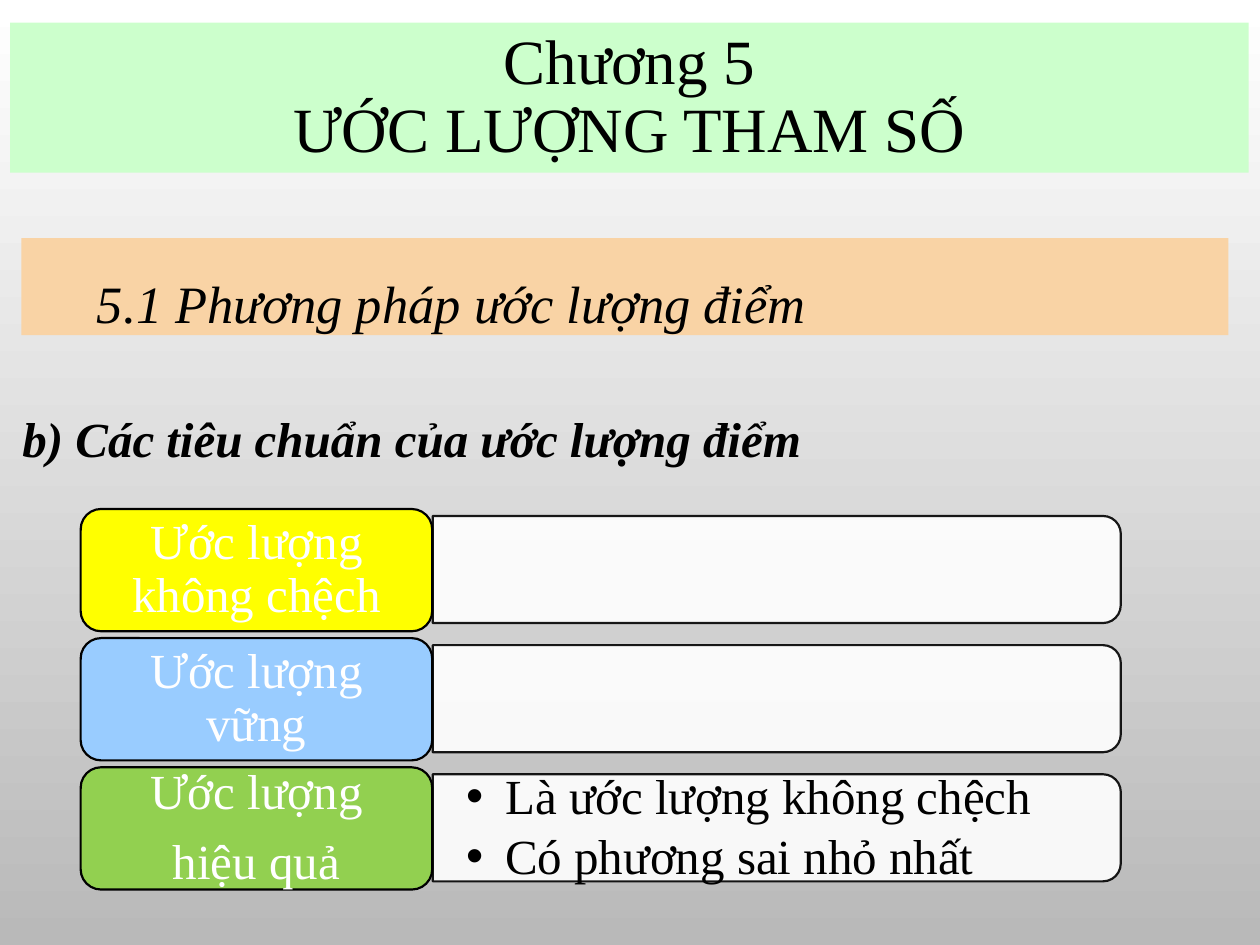
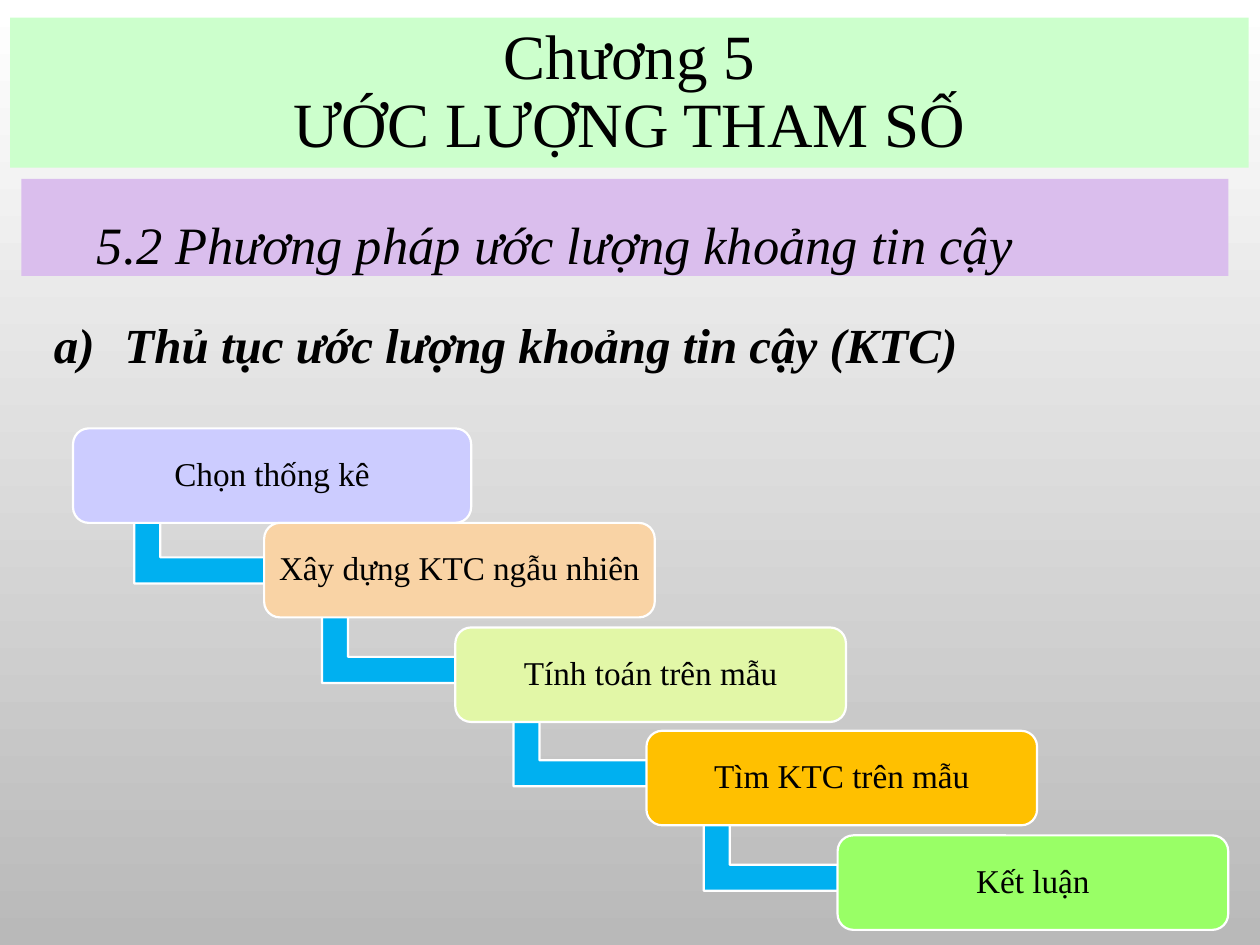
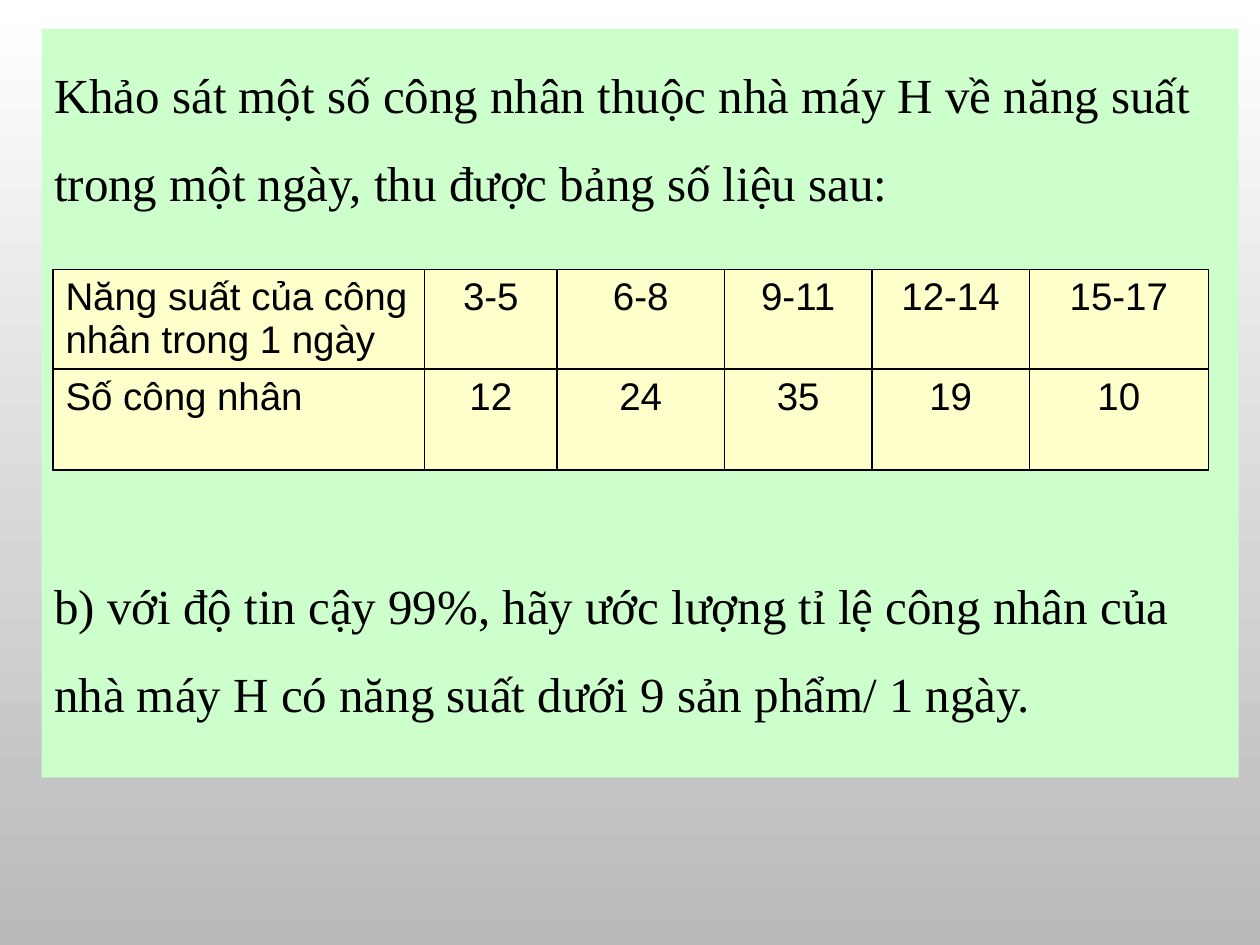
from lxml import etree
from pptx import Presentation
from pptx.dml.color import RGBColor
from pptx.enum.shapes import MSO_SHAPE
from pptx.enum.text import MSO_ANCHOR, MSO_AUTO_SIZE, PP_ALIGN
from pptx.oxml import parse_xml
from pptx.oxml.ns import nsdecls, qn
from pptx.util import Inches, Pt

RECT = MSO_SHAPE.RECTANGLE
ROUND = MSO_SHAPE.ROUNDED_RECTANGLE
TAB = MSO_SHAPE.ROUND_2_SAME_RECTANGLE
BENT = MSO_SHAPE.BENT_UP_ARROW
MID, TOP = MSO_ANCHOR.MIDDLE, MSO_ANCHOR.TOP
GROW, FIXED = MSO_AUTO_SIZE.SHAPE_TO_FIT_TEXT, MSO_AUTO_SIZE.NONE
LEFT, CENTER = PP_ALIGN.LEFT, PP_ALIGN.CENTER
SERIF, SANS = "Times New Roman", "Arial"
UNIT = Inches(1)
HUES = {
    "black": "000000", "white": "FFFFFF", "gray": "B9B9B9", "mint": "CCFFCC",
    "peach": "F9D3A5", "lilac": "DABEED", "yellow": "FFFF00", "sky": "99CCFF",
    "green": "92D050", "blue": "00B0F0", "mauve": "CCCCFF", "lime": "E2F7A7",
    "gold": "FFC000", "grass": "99FF66", "cream": "FFFFCC",
}
RGB = {name: RGBColor.from_string(code) for name, code in HUES.items()}


def draw(slide, kind, at, fill, line=None, turn=0):
    shape = slide.shapes.add_shape(kind, *[int(n * UNIT) for n in at])
    shape.shadow.inherit = False
    shape.rotation = turn
    shape.fill.solid()
    shape.fill.fore_color.rgb = RGB[fill]
    if line:
        shape.line.color.rgb = RGB[line]
        shape.line.width = Pt(1.25)
    else:
        shape.line.fill.background()
    return shape


def write(frame, lines, size, hue="black", align=LEFT, lead=0.9, after=0, pad=(0.1, 0.05),
          fit=FIXED, bold=False, slant=False, indent=(0, 0), mark=None, anchor=MID, font=SERIF):
    frame.text = "\n".join(lines)
    frame.word_wrap = True
    frame.auto_size = fit
    frame.vertical_anchor = anchor
    frame.margin_left = frame.margin_right = Inches(pad[0])
    frame.margin_top = frame.margin_bottom = Inches(pad[1])
    for para in frame.paragraphs:
        props = para._p.get_or_add_pPr()
        props.set("marL", str(Inches(indent[0])))
        props.set("indent", str(Inches(indent[1])))
        if mark == "•":
            etree.SubElement(props, qn("a:buFont")).set("typeface", SANS)
            etree.SubElement(props, qn("a:buChar")).set("char", mark)
        elif mark:
            etree.SubElement(props, qn("a:buFont")).set("typeface", SERIF)
            etree.SubElement(props, qn("a:buAutoNum")).set("type", mark)
        else:
            etree.SubElement(props, qn("a:buNone"))
        para.alignment = align
        para.line_spacing = lead
        para.space_before = Pt(0)
        para.space_after = Pt(after)
        for run in para.runs:
            run.font.name = font
            run.font.size = Pt(size)
            run.font.bold = bold
            run.font.italic = slant
            run.font.color.rgb = RGB[hue]


deck = Presentation()
deck.slide_width, deck.slide_height = 10 * UNIT, int(7.5 * UNIT)
back = deck.slide_master.background.fill
back.gradient()
back.gradient_angle = 270
for stop, hue, spot in zip(back.gradient_stops, ("white", "gray"), (0, 1)):
    stop.color.rgb = RGB[hue]
    stop.position = spot

heads = [
    (0.18, 1.89, "peach", "5.1 Phương pháp ước lượng điểm",
     (0.08, 3, 6.67, 0.72), "b) Các tiêu chuẩn của ước lượng điểm", (0, 0), None),
    (0.14, 1.42, "lilac", "5.2 Phương pháp ước lượng khoảng tin cậy",
     (0.33, 2.25, 8.17, 0.72), "Thủ tục ước lượng khoảng tin cậy (KTC)", (0.56, -0.56), "alphaLcParenR"),
]
pages = []
for top, low, hue, part, at, topic, indent, mark in heads:
    slide = deck.slides.add_slide(deck.slide_layouts[5])
    pages.append(slide)
    title = slide.shapes.title
    title.left, title.top, title.width, title.height = [int(n * UNIT) for n in (0.08, top, 9.83, 1.19)]
    title.fill.solid()
    title.fill.fore_color.rgb = RGB["mint"]
    write(title.text_frame, ["Chương 5\vƯỚC LƯỢNG THAM SỐ"], 36, align=CENTER, fit=GROW)
    band = draw(slide, RECT, (0.17, low, 9.58, 0.77), hue)
    write(band.text_frame, [part], 30, lead=1.5, fit=GROW, slant=True, indent=(0, 0.5))
    note = slide.shapes.add_textbox(*[int(n * UNIT) for n in at])
    write(note.text_frame, [topic], 28, lead=1.5, fit=GROW, bold=True, slant=True,
          indent=indent, mark=mark)

rules, steps = pages
kinds = [
    ("yellow", ["Ước lượng không chệch"]),
    ("sky", ["Ước lượng vững"]),
    ("green", ["Ước lượng", "hiệu quả"]),
]
for row, (hue, lines) in enumerate(kinds):
    top = 4.04 + 1.025 * row
    panel = draw(rules, TAB, (5.74, top - 2.25, 0.85, 5.46), "white", "black", 90)
    for tint in panel._element.spPr.iter(qn("a:srgbClr")):
        etree.SubElement(tint, qn("a:alpha")).set("val", "90000")
    label = draw(rules, ROUND, (0.64, top, 2.79, 0.97), hue, "black")
    write(label.text_frame, lines, 28, "white", CENTER, after=10, pad=(0.12, 0.06))
traits = rules.shapes.add_textbox(*[int(n * UNIT) for n in (3.43, 6.19, 5.42, 0.77)])
write(traits.text_frame, ["Là ước lượng không chệch", "Có phương sai nhỏ nhất"], 28, after=4,
      pad=(0.27, 0.14), indent=(0.31, -0.31), mark="•")

stairs = [
    ("Chọn thống kê", "mauve", 3.4, 3.16, (1.8, 3.32)),
    ("Xây dựng KTC ngẫu nhiên", "peach", 4.15, 3.1, (3.29, 4.11)),
    ("Tính toán trên mẫu", "lime", 4.98, 3.1, (4.81, 4.93)),
    ("Tìm KTC trên mẫu", "gold", 5.8, 3.1, (6.32, 5.76)),
    ("Kết luận", "grass", 6.63, 3.1, None),
]
for col, (text, hue, top, wide, bend) in enumerate(stairs):
    if bend:
        arrow = draw(steps, BENT, (*bend, 0.63, 2.1), "blue", "white", 90)
        for spot, share in enumerate((0.328, 0.25, 0.358)):
            arrow.adjustments[spot] = share
    step = draw(steps, ROUND, (0.58 + 1.517 * col, top, wide, 0.75), hue, "white")
    write(step.text_frame, [text], 19, align=CENTER, pad=(0.08, 0.08))

task = deck.slides.add_slide(deck.slide_layouts[1])
head = task.shapes.title.element
head.getparent().remove(head)
body = task.placeholders[1]
body.left, body.top, body.width, body.height = [int(n * UNIT) for n in (0.33, 0.23, 9.5, 5.94)]
body.fill.solid()
body.fill.fore_color.rgb = RGB["mint"]
write(body.text_frame, [
    "Khảo sát một số công nhân thuộc nhà máy H về năng suất trong một ngày, thu được bảng số liệu sau:",
    "b) với độ tin cậy 99%, hãy ước lượng tỉ lệ công nhân của nhà máy H có năng suất dưới 9 sản phẩm/ 1 ngày.",
], 28, lead=1.5, anchor=TOP)
body.text_frame.paragraphs[1].space_before = Pt(191)

data = [
    ["Năng suất của công nhân trong 1 ngày", "3-5", "6-8", "9-11", "12-14", "15-17"],
    ["Số công nhân", "12", "24", "35", "19", "10"],
]
grid = task.shapes.add_table(2, 6, *[int(n * UNIT) for n in (0.42, 2.14, 9.17, 1.59)]).table
grid.first_row = grid.horz_banding = False
for col, wide in zip(grid.columns, (2.95, 1.05, 1.33, 1.17, 1.25, 1.42)):
    col.width = Inches(wide)
for row, tall in zip(grid.rows, (0.79, 0.8)):
    row.height = Inches(tall)
for y, line in enumerate(data):
    for x, text in enumerate(line):
        cell = grid.cell(y, x)
        for side in ("lnL", "lnR", "lnT", "lnB"):
            cell._tc.get_or_add_tcPr().append(parse_xml(
                f'<a:{side} {nsdecls("a")} w="12700"><a:solidFill>'
                f'<a:srgbClr val="{HUES["black"]}"/></a:solidFill></a:{side}>'))
        cell.fill.solid()
        cell.fill.fore_color.rgb = RGB["cream"]
        cell.text = text
        for para in cell.text_frame.paragraphs:
            para.alignment = CENTER if x else LEFT
            para.font.name = SANS
            para.font.size = Pt(22)
            for run in para.runs:
                run.font.name = SANS
                run.font.size = Pt(22)
                run.font.color.rgb = RGB["black"]

deck.save("out.pptx")
